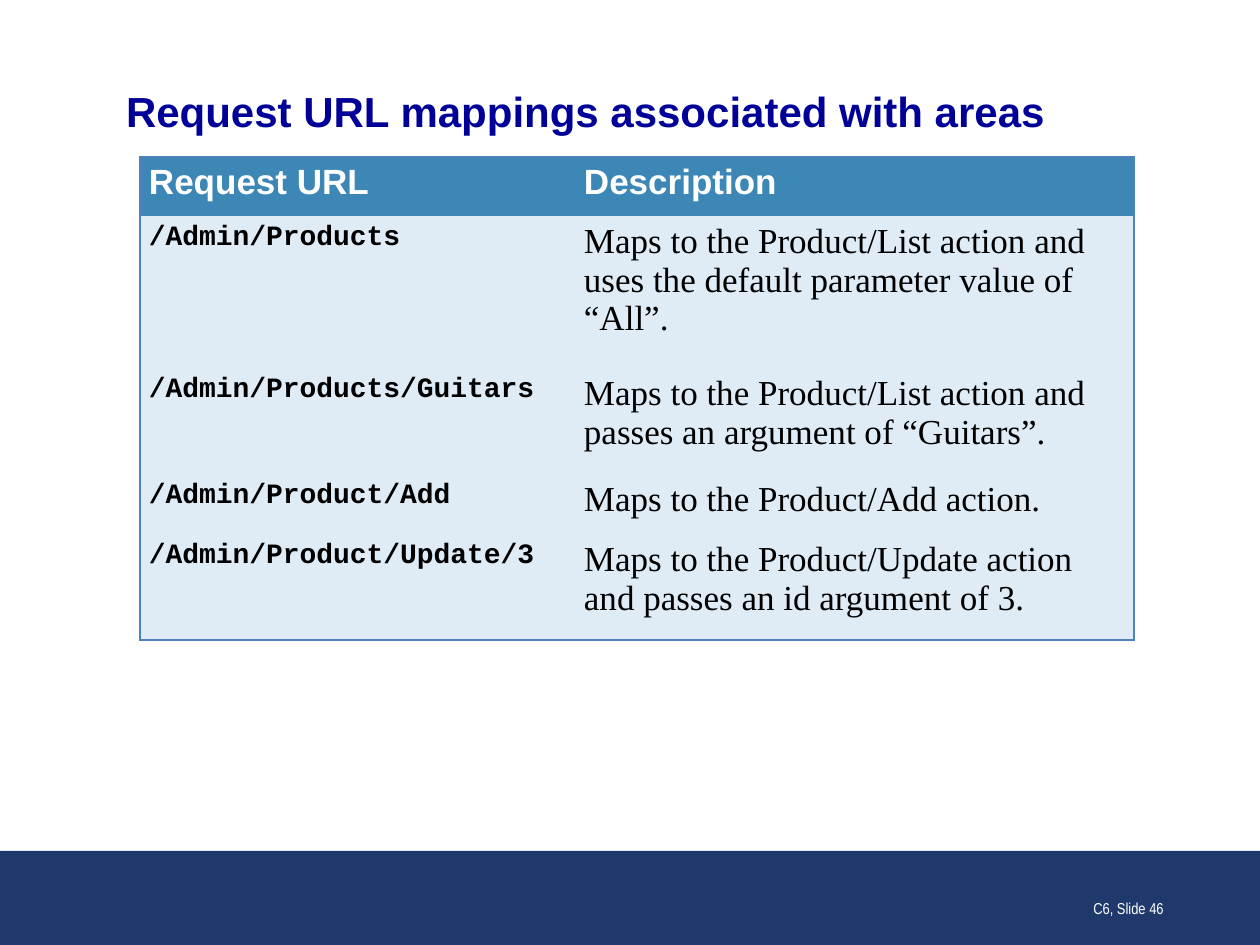
from dataclasses import dataclass
from lxml.etree import SubElement
from pptx import Presentation
from pptx.dml.color import RGBColor
from pptx.enum.shapes import MSO_SHAPE
from pptx.enum.text import MSO_ANCHOR, MSO_AUTO_SIZE, PP_ALIGN
from pptx.oxml.ns import qn
from pptx.util import Emu, Pt

PX_PER_INCH = 126
NAVY = RGBColor(0x20, 0x39, 0x6D)
TITLE_BLUE = RGBColor(0x00, 0x00, 0x99)
HEADER_BLUE = RGBColor(0x3D, 0x87, 0xB7)
ROW_BLUE = RGBColor(0xDF, 0xEC, 0xF5)
BORDER_BLUE = RGBColor(0x4F, 0x81, 0xBD)
WHITE = RGBColor(0xFF, 0xFF, 0xFF)
BLACK = RGBColor(0x00, 0x00, 0x00)


@dataclass(frozen=True)
class Mapping:
    url: str
    description: str
    height: int


HEADINGS = Mapping("Request URL", "Description", 59)
MAPPINGS = [
    Mapping(
        "/Admin/Products",
        "Maps to the Product/List action and uses the default parameter value of “All”.",
        152,
    ),
    Mapping(
        "/Admin/Products/Guitars",
        "Maps to the Product/List action and passes an argument of “Guitars”.",
        106,
    ),
    Mapping("/Admin/Product/Add", "Maps to the Product/Add action.", 60),
    Mapping(
        "/Admin/Product/Update/3",
        "Maps to the Product/Update action and passes an id argument of 3.",
        106,
    ),
]
COLUMN_WIDTHS = [435, 559]


def px(length: int) -> Emu:
    return Emu(round(length * 914400 / PX_PER_INCH))


def write(frame, text: str, *, font: str, size: int, color: RGBColor, bold: bool = False,
          align: PP_ALIGN = PP_ALIGN.LEFT, before: int = 0, after: int = 0) -> None:
    paragraph = frame.paragraphs[0]
    paragraph.alignment = align
    paragraph.space_before = Pt(before)
    paragraph.space_after = Pt(after)
    run = paragraph.add_run()
    run.text = text
    run.font.name = font
    run.font.size = Pt(size)
    run.font.bold = bold
    run.font.color.rgb = color


def set_borders(cell, visible_sides: str) -> None:
    properties = cell._tc.get_or_add_tcPr()
    for side in "LRTB":
        line = SubElement(properties, qn(f"a:ln{side}"), w=str(Pt(1)))
        if side in visible_sides:
            fill = SubElement(line, qn("a:solidFill"))
            SubElement(fill, qn("a:srgbClr"), val=str(BORDER_BLUE))
        else:
            SubElement(line, qn("a:noFill"))


def add_title(slide) -> None:
    title = slide.shapes.title
    title.left, title.top, title.width, title.height = map(px, (126, 86, 1008, 50))
    frame = title.text_frame
    frame.margin_left = frame.margin_top = frame.margin_right = frame.margin_bottom = 0
    frame.vertical_anchor = MSO_ANCHOR.MIDDLE
    frame.word_wrap = True
    frame.auto_size = MSO_AUTO_SIZE.SHAPE_TO_FIT_TEXT
    write(frame, "Request URL mappings associated with areas", font="Arial", size=24,
          color=TITLE_BLUE, bold=True, before=15, after=6)


def add_mapping_table(slide) -> None:
    rows = [HEADINGS, *MAPPINGS]
    table = slide.shapes.add_table(
        len(rows), len(COLUMN_WIDTHS), px(140), px(157),
        px(sum(COLUMN_WIDTHS)), px(sum(row.height for row in rows)),
    ).table
    for column, width in zip(table.columns, COLUMN_WIDTHS):
        column.width = px(width)
    heading_format = dict(font="Arial", size=20, color=WHITE, bold=True, before=6, after=6)
    url_format = dict(font="Courier New", size=16, color=BLACK, bold=True, before=3, after=6)
    description_format = dict(font="Times New Roman", size=20, color=BLACK, before=3, after=6)
    for index, mapping in enumerate(rows):
        table.rows[index].height = px(mapping.height)
        is_heading = index == 0
        outer_edge = "T" if is_heading else "B" if index == len(rows) - 1 else ""
        columns = (
            (mapping.url, url_format, "L"),
            (mapping.description, description_format, "R"),
        )
        for position, (text, body_format, side) in enumerate(columns):
            cell = table.cell(index, position)
            cell.margin_left = cell.margin_right = px(9)
            cell.margin_top = cell.margin_bottom = px(6)
            set_borders(cell, side + outer_edge)
            cell.fill.solid()
            cell.fill.fore_color.rgb = HEADER_BLUE if is_heading else ROW_BLUE
            write(cell.text_frame, text, **(heading_format if is_heading else body_format))


def add_footer(slide) -> None:
    band = slide.shapes.add_shape(MSO_SHAPE.RECTANGLE, 0, px(851), px(1260), px(94))
    band.shadow.inherit = False
    band.fill.solid()
    band.fill.fore_color.rgb = NAVY
    band.line.fill.background()
    slide_number = slide.shapes.add_textbox(px(914), px(861), px(262), px(63)).text_frame
    slide_number.word_wrap = True
    slide_number.vertical_anchor = MSO_ANCHOR.BOTTOM
    write(slide_number, "C6, Slide 46", font="Arial Narrow", size=9, color=WHITE,
          align=PP_ALIGN.RIGHT)


def main() -> None:
    presentation = Presentation()
    presentation.slide_width = px(1260)
    presentation.slide_height = px(945)
    slide = presentation.slides.add_slide(presentation.slide_layouts[5])
    add_title(slide)
    add_mapping_table(slide)
    add_footer(slide)
    presentation.save("out.pptx")


if __name__ == "__main__":
    main()
